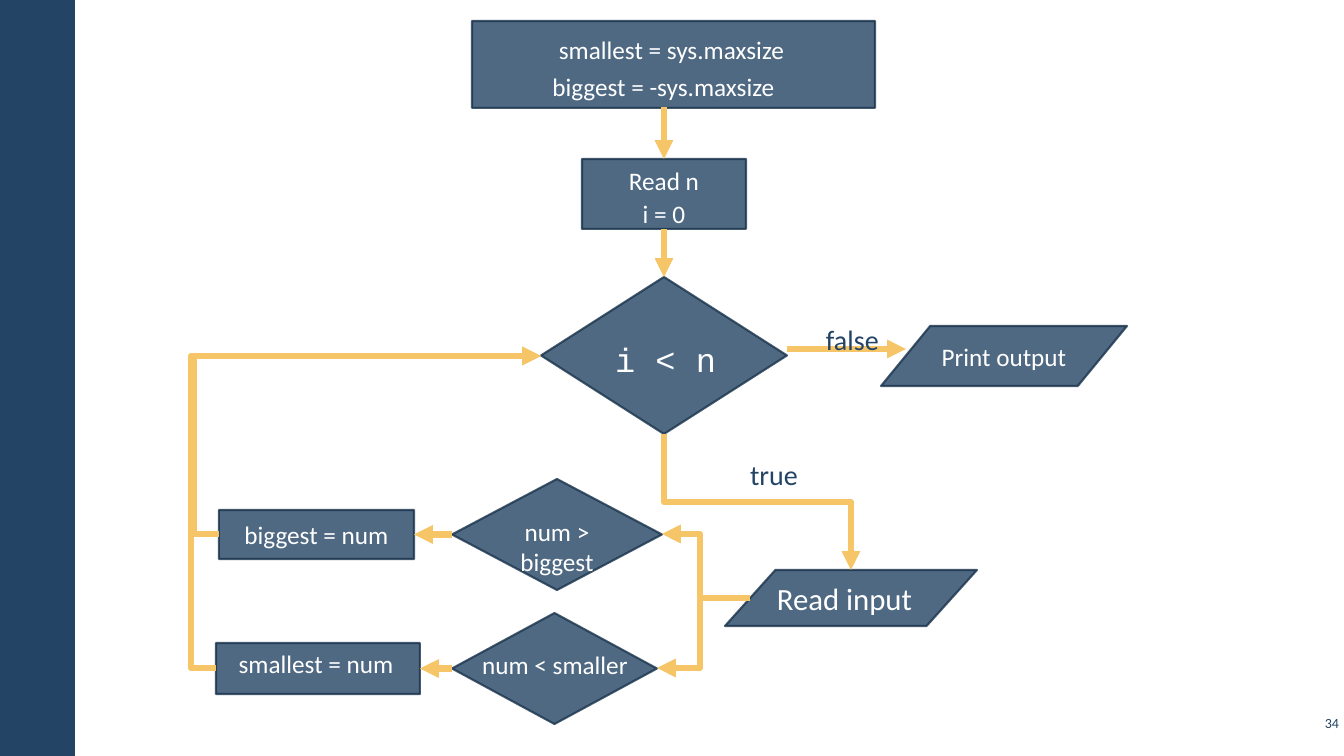
from lxml import etree
from pptx import Presentation
from pptx.dml.color import RGBColor
from pptx.enum.shapes import MSO_CONNECTOR, MSO_SHAPE
from pptx.enum.text import MSO_ANCHOR, PP_ALIGN
from pptx.oxml.ns import qn
from pptx.util import Emu, Pt

COLORS = {"navy": "234465", "outline": "1A334C", "arrow": "F5C567", "white": "FFFFFF"}
SLIDE_W, SLIDE_H = 1344, 756
OPACITY = 80
TOP, LEFT, BOTTOM, RIGHT = range(4)

# Flowchart nodes: name -> (preset, x, y, w, h, text inside)
NODES = {
    "init": (MSO_SHAPE.RECTANGLE, 472, 21, 403, 87, ""),
    "start": (MSO_SHAPE.RECTANGLE, 582, 159, 164, 70, ""),
    "loop": (MSO_SHAPE.FLOWCHART_DECISION, 541, 277, 246, 157, ""),
    "print": (MSO_SHAPE.FLOWCHART_DATA, 881, 326, 246, 60, "Print output"),
    "read": (MSO_SHAPE.FLOWCHART_DATA, 725, 570, 252, 56, ""),
    "is_big": (MSO_SHAPE.FLOWCHART_DECISION, 452, 479, 210, 111, ""),
    "is_small": (MSO_SHAPE.FLOWCHART_DECISION, 452, 613, 205, 111, ""),
    "set_big": (MSO_SHAPE.FLOWCHART_PROCESS, 219, 510, 195, 49, "biggest = num"),
    "set_small": (MSO_SHAPE.FLOWCHART_PROCESS, 216, 643, 204, 51, ""),
}

# Straight arrows: (from, to, begin joint, end joint)
STRAIGHT = [
    ((664, 107), (664, 159), None, ("start", TOP)),
    ((664, 229), (664, 277), ("start", BOTTOM), ("loop", TOP)),
    ((452, 534), (414, 534), ("is_big", LEFT), ("set_big", RIGHT)),
    ((452, 668), (420, 668), ("is_small", LEFT), ("set_small", RIGHT)),
    ((787, 349), (906, 349), None, None),
]

# Elbow arrows leaving sideways: (from, to, x of the upright part)
SIDEWAYS = [
    ((750, 598), (662, 534), 700),
    ((219, 534), (541, 356), 194),
    ((216, 668), (541, 356), 191),
]

# Elbow arrows leaving downwards: (from, to, y of the level part, None for a single bend)
DOWNWARDS = [
    ((700, 598), (657, 668), None),
    ((664, 434), (851, 570), 502),
]

# Captions on the nodes: (text, x, y, w, h, size, font, wrap)
CAPTIONS = [
    ("smallest = sys.maxsize", 463, 29, 417, 40, 18, "Calibri", True),
    ("biggest = -sys.maxsize", 541, 66, 245, 40, 18, "Calibri", False),
    ("i < n", 549, 334, 233, 47, 24, "Courier New", True),
    ("Read input", 766, 575, 157, 47, 22, "Calibri", False),
    ("num < smaller", 460, 644, 190, 40, 18, "Calibri", True),
    ("num > biggest", 497, 511, 120, 70, 18, "Calibri", True),
    ("smallest = num", 228, 643, 176, 40, 18, "Calibri", False),
]

# Loosely spaced texts: (text, x, y, w, h, size, colour, alignment)
LABELS = [
    ("true", 734, 442, 81, 59, 20, "navy", PP_ALIGN.LEFT),
    ("false", 810, 307, 86, 59, 20, "navy", PP_ALIGN.LEFT),
    ("Read n\ni = 0", 586, 150, 156, 92, 18, "white", PP_ALIGN.CENTER),
]
PAGE_NUMBER = ("34", 1296, 706, 47, 34)


def px(n):
    return Emu(round(n * 914400 / 100.8))


def rgb(name):
    return RGBColor.from_string(COLORS[name])


def fade(fill):
    color = fill._xPr.find(qn("a:solidFill"))[0]
    etree.SubElement(color, qn("a:alpha")).set("val", str(OPACITY * 1000))


def write(sp, text, size, font="Calibri", color="white", align=PP_ALIGN.CENTER,
          wrap=True, anchor=MSO_ANCHOR.TOP, spacing=None, insets=(10, 5)):
    tf = sp.text_frame
    tf.text = text
    tf.word_wrap = wrap
    tf.vertical_anchor = anchor
    tf.margin_left = tf.margin_right = px(insets[0])
    tf.margin_top = tf.margin_bottom = px(insets[1])
    for p in tf.paragraphs:
        p.alignment = align
        p.line_spacing = spacing
        for r in p.runs:
            r.font.size = Pt(size)
            r.font.name = font
            r.font.color.rgb = rgb(color)


def add_block(preset, x, y, w, h):
    sp = shapes.add_shape(preset, px(x), px(y), px(w), px(h))
    sp.shadow.inherit = False
    sp.fill.solid()
    sp.fill.fore_color.rgb = rgb("navy")
    return sp


def add_text(text, x, y, w, h, size, **style):
    write(shapes.add_textbox(px(x), px(y), px(w), px(h)), text, size, **style)


def add_arrow(kind, begin, end):
    cn = shapes.add_connector(kind, *map(px, begin + end))
    cn.line.color.rgb = rgb("arrow")
    cn.line.width = Pt(4.5)
    etree.SubElement(cn.line._get_or_add_ln(), qn("a:tailEnd")).set("type", "triangle")
    etree.SubElement(cn._element.spPr, qn("a:effectLst"))
    return cn


def set_bend(cn, share):
    geom = cn._element.spPr.find(qn("a:prstGeom"))
    guide = etree.SubElement(geom.find(qn("a:avLst")), qn("a:gd"))
    guide.set("name", "adj1")
    guide.set("fmla", f"val {round(share * 100000)}")


prs = Presentation()
prs.slide_width, prs.slide_height = px(SLIDE_W), px(SLIDE_H)
shapes = prs.slides.add_slide(prs.slide_layouts[6]).shapes

# Side band
add_block(MSO_SHAPE.RECTANGLE, 0, 0, 75, SLIDE_H).line.fill.background()

# Nodes
nodes = {}
for name, (preset, x, y, w, h, text) in NODES.items():
    sp = nodes[name] = add_block(preset, x, y, w, h)
    sp.line.color.rgb = rgb("outline")
    sp.line.width = Pt(1.5)
    fade(sp.fill)
    fade(sp.line.fill)
    if text:
        write(sp, text, 18, anchor=MSO_ANCHOR.MIDDLE)

# Straight arrows
for begin, end, begin_joint, end_joint in STRAIGHT:
    cn = add_arrow(MSO_CONNECTOR.STRAIGHT, begin, end)
    if begin_joint:
        cn.begin_connect(nodes[begin_joint[0]], begin_joint[1])
    if end_joint:
        cn.end_connect(nodes[end_joint[0]], end_joint[1])

# Elbow arrows
for begin, end, bend_x in SIDEWAYS:
    cn = add_arrow(MSO_CONNECTOR.ELBOW, begin, end)
    set_bend(cn, (bend_x - begin[0]) / (end[0] - begin[0]))

for (x1, y1), (x2, y2), bend_y in DOWNWARDS:
    # Lay the elbow on its side around the same centre, then turn it a quarter
    cx, cy, dx, dy = (x1 + x2) / 2, (y1 + y2) / 2, (x2 - x1) / 2, (y2 - y1) / 2
    cn = add_arrow(MSO_CONNECTOR.ELBOW, (cx - dy, cy + dx), (cx + dy, cy - dx))
    cn._element.spPr.find(qn("a:xfrm")).set("rot", str(90 * 60000))
    if bend_y is None:
        cn._element.spPr.find(qn("a:prstGeom")).set("prst", "bentConnector2")
    else:
        set_bend(cn, (bend_y - y1) / (y2 - y1))

# Texts
for text, x, y, w, h, size, font, wrap in CAPTIONS:
    add_text(text, x, y, w, h, size, font=font, wrap=wrap)
for text, x, y, w, h, size, color, align in LABELS:
    add_text(text, x, y, w, h, size, color=color, align=align, wrap=False,
             spacing=1.1, insets=(16, 12))
add_text(*PAGE_NUMBER, 10, color="navy", align=PP_ALIGN.RIGHT,
         anchor=MSO_ANCHOR.MIDDLE, insets=(4, 4))

prs.save("out.pptx")
